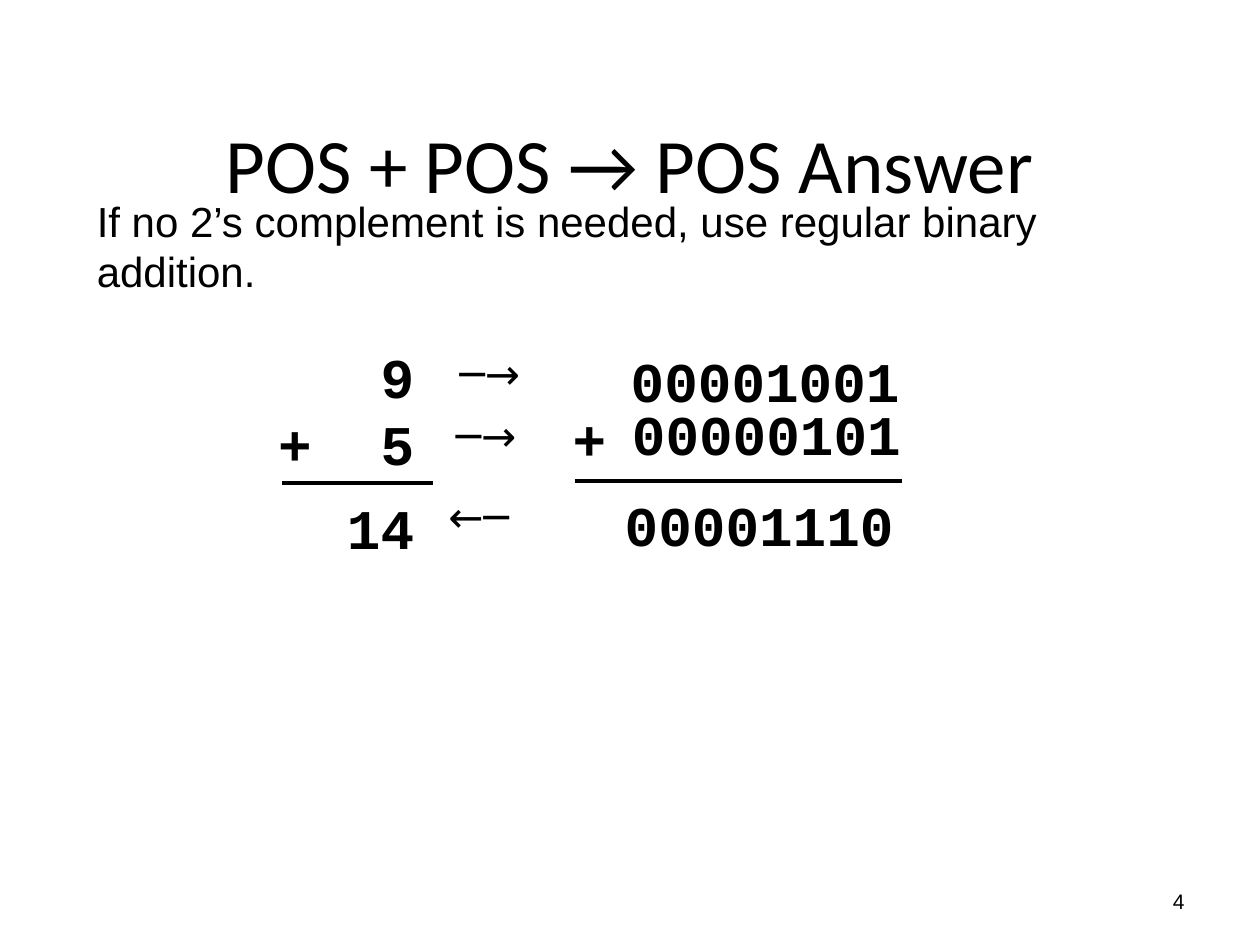
from lxml import etree
from pptx import Presentation
from pptx.dml.color import RGBColor
from pptx.enum import shapes, text
from pptx.oxml import ns
from pptx.util import Inches, Pt

BLACK = RGBColor(0, 0, 0)
LEFT, RIGHT, CENTER = text.PP_ALIGN.LEFT, text.PP_ALIGN.RIGHT, text.PP_ALIGN.CENTER
MONO, ARROW = "Courier New", "Karla"


def style(para, size, font, align=LEFT, bold=False):
    para.alignment = align
    para.font.size = Pt(size)
    para.font.name = font
    para.font.bold = bold
    para.font.color.rgb = BLACK


def add_text(page, words, left, top, width, height, size, font,
             align=LEFT, bold=False, anchor=text.MSO_ANCHOR.TOP):
    box = page.shapes.add_textbox(Inches(left), Inches(top), Inches(width), Inches(height))
    frame = box.text_frame
    frame.word_wrap = True
    frame.vertical_anchor = anchor
    frame.text = words
    for para in frame.paragraphs:
        style(para, size, font, align, bold)
    return frame


def add_rule(page, left, top, width):
    rule = page.shapes.add_connector(shapes.MSO_CONNECTOR.STRAIGHT, Inches(left), Inches(top),
                                     Inches(left + width), Inches(top))
    rule.line.color.rgb = BLACK
    rule.line.width = Pt(2.25)
    etree.SubElement(rule.element.spPr, ns.qn("a:effectLst"))


def add_right_tab(para, position):
    # Tab stops come before the default run properties
    stops = etree.Element(ns.qn("a:tabLst"))
    etree.SubElement(stops, ns.qn("a:tab"), pos=str(Inches(position)), algn="r")
    para.font  # the default run properties exist from here on
    para._p.pPr.find(ns.qn("a:defRPr")).addprevious(stops)


def add_heading(page, left, top):
    title = page.shapes.title
    title.left, title.top = Inches(left), Inches(top)
    title.width, title.height = Inches(9), Inches(1.25)
    title.text_frame.text = "POS + POS → POS Answer"
    title.text_frame.vertical_anchor = text.MSO_ANCHOR.MIDDLE
    style(title.text_frame.paragraphs[0], 44, "Calibri", CENTER)
    add_text(page, "If no 2’s complement is needed, use regular binary addition.",
             left + 0.17, top + 0.83, 8.67, 0.9, 24, "Arial")


def add_decimal_sum(page, left, top):
    frame = add_text(page, "\t9\n+\t5\n\t14", left, top, 1.55, 1.85, 32, MONO, bold=True)
    for para in frame.paragraphs:
        add_right_tab(para, 1.08)
    frame.paragraphs[-1].line_spacing = 1.25
    add_rule(page, left + 0.13, top + 1.16, 1.2)


def add_conversion_arrows(page, left, top):
    for words, across, down in (("─→", 0.09, 0), ("─→", 0.06, 0.49), ("←─", 0, 1.13)):
        add_text(page, words, left + across, top + down, 0.86, 0.51, 24, ARROW)


def add_binary_sum(page, left, top):
    for words, across, down, width, align in (
            ("00001001", 0.41, 0, 2.5, RIGHT),
            ("00000101", 0.25, 0.42, 2.67, RIGHT),
            ("+", 0, 0.46, 0.58, RIGHT),
            ("00001110", 0.53, 1.14, 2.36, LEFT)):
        add_text(page, words, left + across, top + down, width, 0.64, 32, MONO, align, True)
    add_rule(page, left + 0.23, top + 1.12, 2.6)


deck = Presentation()
deck.slide_width, deck.slide_height = Inches(10), Inches(7.5)
page = deck.slides.add_slide(deck.slide_layouts[5])

# Title and explanation
add_heading(page, 0.5, 0.67)

# Worked example: decimal, arrows, binary
add_decimal_sum(page, 2.11, 2.67)
add_conversion_arrows(page, 3.46, 2.71)
add_binary_sum(page, 4.33, 2.7)

# Page number
add_text(page, "4", 7.17, 6.95, 2.33, 0.4, 12, "Arial", RIGHT, anchor=text.MSO_ANCHOR.MIDDLE)

deck.save("out.pptx")
